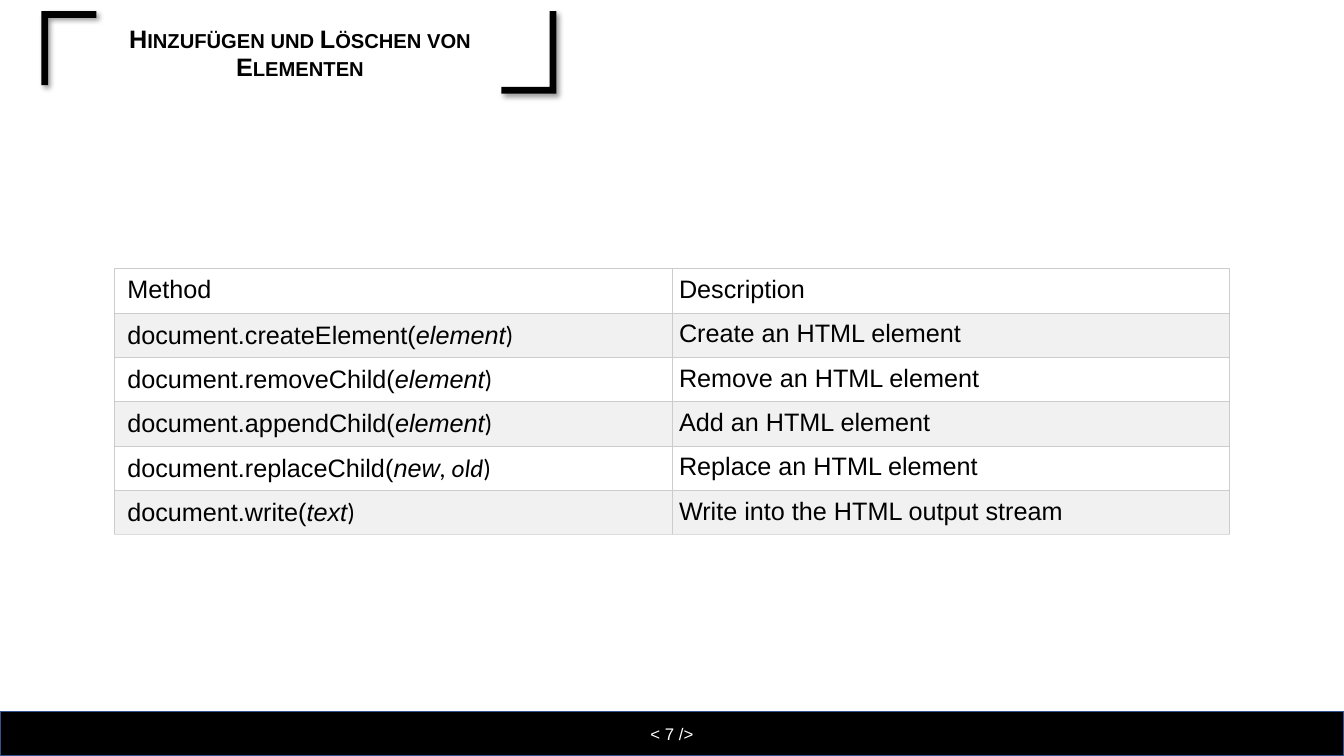
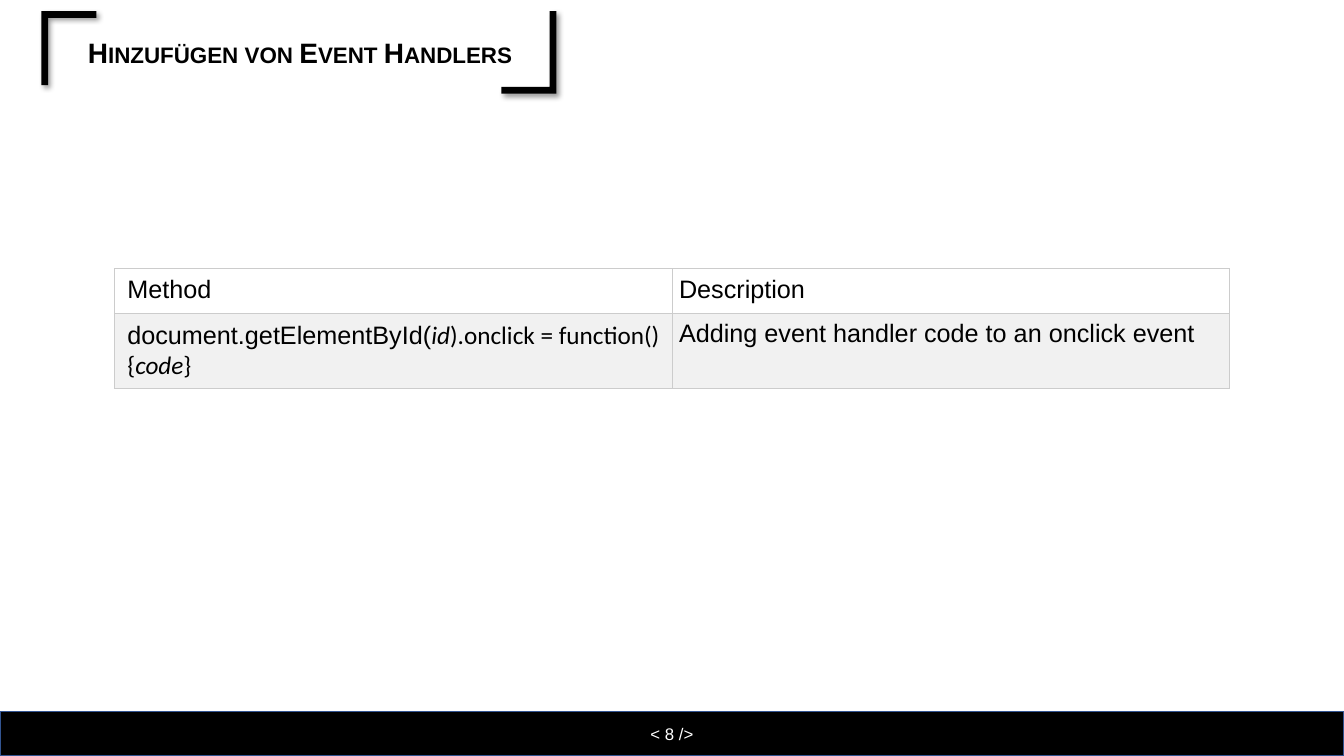
from dataclasses import dataclass
from math import copysign

from lxml import etree
from pptx import Presentation
from pptx.dml.color import RGBColor
from pptx.enum.shapes import MSO_SHAPE
from pptx.enum.text import MSO_ANCHOR, PP_ALIGN
from pptx.oxml import parse_xml
from pptx.oxml.ns import nsdecls, qn
from pptx.util import Inches, Pt

RECT = MSO_SHAPE.RECTANGLE
MIDDLE = MSO_ANCHOR.MIDDLE
CENTER = PP_ALIGN.CENTER
BLANK = 6


@dataclass(frozen=True)
class Theme:
    ink: str = "000000"
    paper: str = "FFFFFF"
    band: str = "F1F1F1"
    edge: str = "CCCCCC"
    pale: str = "DDDDDD"
    rim: str = "325491"
    main: str = "Arial"
    alt: str = "Calibri"
    body: int = 18
    foot: int = 12
    rule: float = 0.6


THEME = Theme()
PLAIN = {"name": THEME.main, "size": Pt(THEME.body), "italic": False}
SLANT = PLAIN | {"italic": True}
ALT = PLAIN | {"name": THEME.alt}
ALT_SLANT = ALT | {"italic": True}


def put(item, values):
    for key, value in values.items():
        setattr(item, key, value)


def paint(fill, color):
    fill.solid()
    fill.fore_color.rgb = RGBColor.from_string(color)


def write(para, text, color, style):
    run = para.add_run()
    run.text = text
    put(run.font, style)
    run.font.color.rgb = RGBColor.from_string(color)
    return run


class Deck:
    """Places elements on the current slide in percent of its width and height."""

    def __init__(self, theme):
        self.theme = theme
        self.file = Presentation()
        put(self.file, {"slide_width": Inches(13.33), "slide_height": Inches(7.5)})
        self.slide = None

    def across(self, share):
        return round(self.file.slide_width * share / 100)

    def down(self, share):
        return round(self.file.slide_height * share / 100)

    def box(self, x, y, w, h):
        return self.across(x), self.down(y), self.across(w), self.down(h)

    def page(self, number, title, size):
        self.slide = self.file.slides.add_slide(self.file.slide_layouts[BLANK])
        self.corner(3.08, 1.47, 4.1, 9.8)
        self.corner(41.4, 12.4, -4.1, -10.93)
        self.footer(f"< {number} />")
        self.title(title, size)

    def corner(self, x, y, w, h):
        """Draws a bracket from its outer corner; the signs of w and h aim its arms."""
        left, top, wide, high = self.box(x, y, w, h)
        thick = self.across(0.5)
        in_x = left + round(copysign(thick, wide))
        in_y = top + round(copysign(thick, high))
        end_x, end_y = left + wide, top + high
        pen = self.slide.shapes.build_freeform(left, top)
        pen.add_line_segments([(end_x, top), (end_x, in_y), (in_x, in_y),
                               (in_x, end_y), (left, end_y)])
        shape = pen.convert_to_shape()
        paint(shape.fill, self.theme.ink)
        shape.line.fill.background()
        self.shade(shape)

    def shade(self, shape):
        shape.shadow.inherit = False
        effects = shape._element.spPr.find(qn("a:effectLst"))
        effects.append(parse_xml(
            f'<a:outerShdw {nsdecls("a")} blurRad="{Pt(4)}" dist="{Pt(3)}" '
            'dir="2700000" algn="tl" rotWithShape="0">'
            f'<a:srgbClr val="{self.theme.ink}"><a:alpha val="40000"/></a:srgbClr>'
            '</a:outerShdw>'))

    def footer(self, text):
        bar = self.slide.shapes.add_shape(RECT, *self.box(0, 94.13, 100, 5.87))
        bar.shadow.inherit = False
        paint(bar.fill, self.theme.ink)
        paint(bar.line.fill, self.theme.rim)
        bar.line.width = Pt(1)
        bar.text_frame.vertical_anchor = MIDDLE
        para = bar.text_frame.paragraphs[0]
        para.alignment = CENTER
        write(para, text, self.theme.paper, PLAIN | {"size": Pt(self.theme.foot)})

    def title(self, text, size):
        frame = self.slide.shapes.add_textbox(*self.box(3.98, 3.2, 36.68, 8)).text_frame
        put(frame, {"word_wrap": True, "vertical_anchor": MIDDLE})
        para = frame.paragraphs[0]
        put(para, {"alignment": CENTER, "line_spacing": 0.9})
        run = write(para, text, self.theme.ink, PLAIN | {"size": Pt(size), "bold": True})
        run.font._element.set("cap", "small")

    def table(self, rows, high, last):
        """Fills a two-column table; high is a body row's height, last its bottom edge."""
        head = 5.6
        cells = [([("Method", PLAIN)], "Description"), *rows]
        place = self.box(8.5, 35.55, 83, head + high * len(rows))
        table = self.slide.shapes.add_table(len(cells), 2, *place).table
        put(table, {"first_row": False, "horz_banding": False})
        for i, (code, note) in enumerate(cells):
            table.rows[i].height = self.down(high if i else head)
            fill = self.theme.band if i % 2 else self.theme.paper
            base = last if i == len(rows) else self.theme.edge
            for j, runs in enumerate((code, [(note, PLAIN)])):
                self.cell(table.cell(i, j), runs, fill, base, 0.07 if j else 0.13)

    def cell(self, cell, runs, fill, base, left):
        put(cell, {"margin_left": Inches(left), "margin_right": Inches(0.07),
                   "margin_top": Inches(0.07), "margin_bottom": Inches(0.07)})
        props = cell._tc.get_or_add_tcPr()
        for side in "LRTB":
            line = etree.SubElement(props, qn(f"a:ln{side}"), w=str(Pt(self.theme.rule)))
            solid = etree.SubElement(line, qn("a:solidFill"))
            color = base if side == "B" else self.theme.edge
            etree.SubElement(solid, qn("a:srgbClr"), val=color)
        paint(cell.fill, fill)
        for text, style in runs:
            write(cell.text_frame.paragraphs[0], text, self.theme.ink, style)


def call(name, *args):
    """Gives the runs of a method call with slanted arguments."""
    return [(f"document.{name}(", PLAIN), *args, (")", ALT)]


def main():
    deck = Deck(THEME)
    item = ("element", SLANT)
    deck.page(7, "Hinzufügen und Löschen von Elementen", 18)
    deck.table([
        (call("createElement", item), "Create an HTML element"),
        (call("removeChild", item), "Remove an HTML element"),
        (call("appendChild", item), "Add an HTML element"),
        (call("replaceChild", ("new", SLANT), (", old", ALT_SLANT)),
         "Replace an HTML element"),
        (call("write", ("text", SLANT)), "Write into the HTML output stream"),
    ], 5.83, THEME.pale)

    deck.page(8, "Hinzufügen von Event Handlers", 20)
    event = [("document.getElementById(", PLAIN), ("id", ALT_SLANT),
             (").onclick = function(){", ALT), ("code", ALT_SLANT), ("}", ALT)]
    deck.table([(event, "Adding event handler code to an onclick event")],
               10, THEME.edge)
    deck.file.save("out.pptx")


if __name__ == "__main__":
    main()
